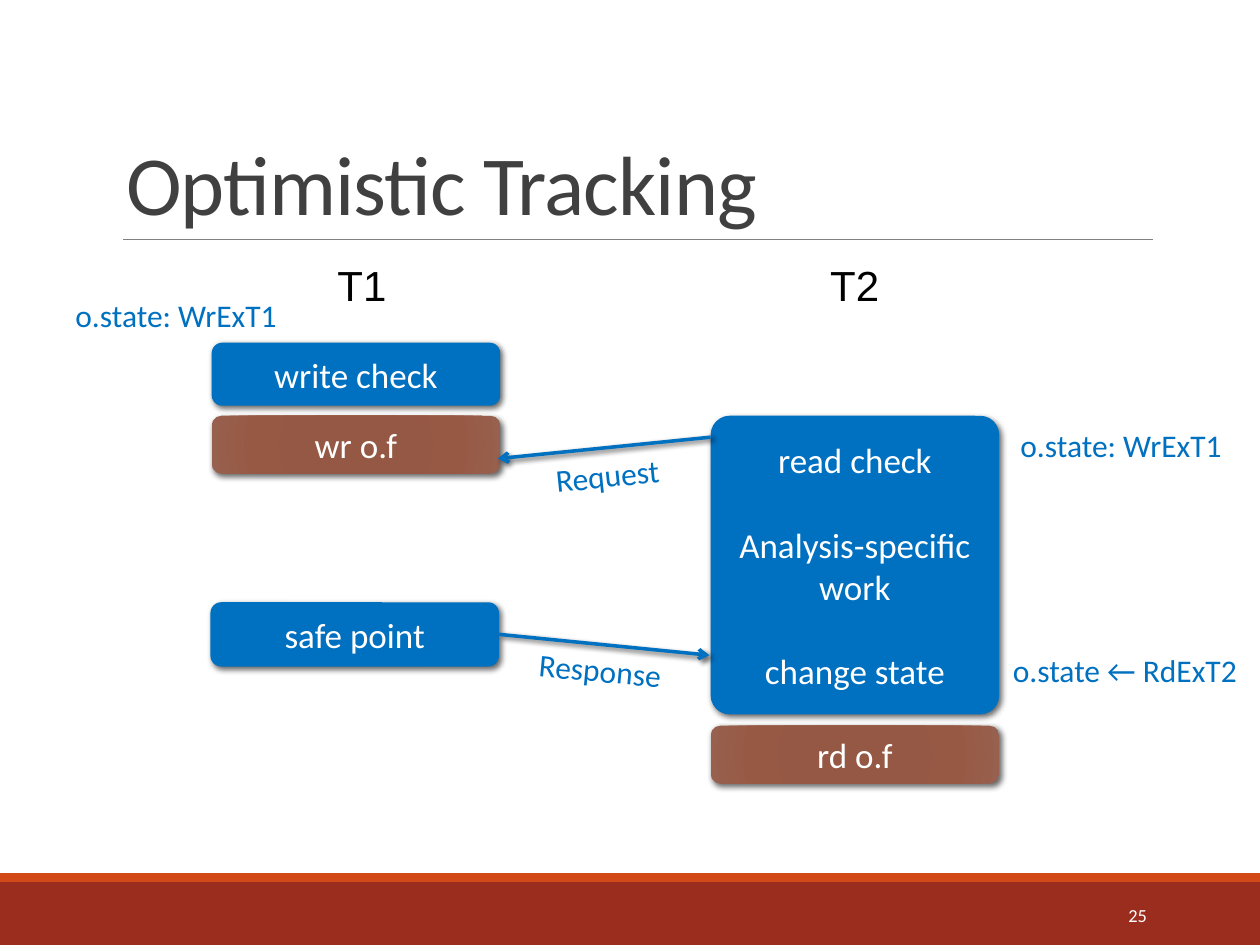
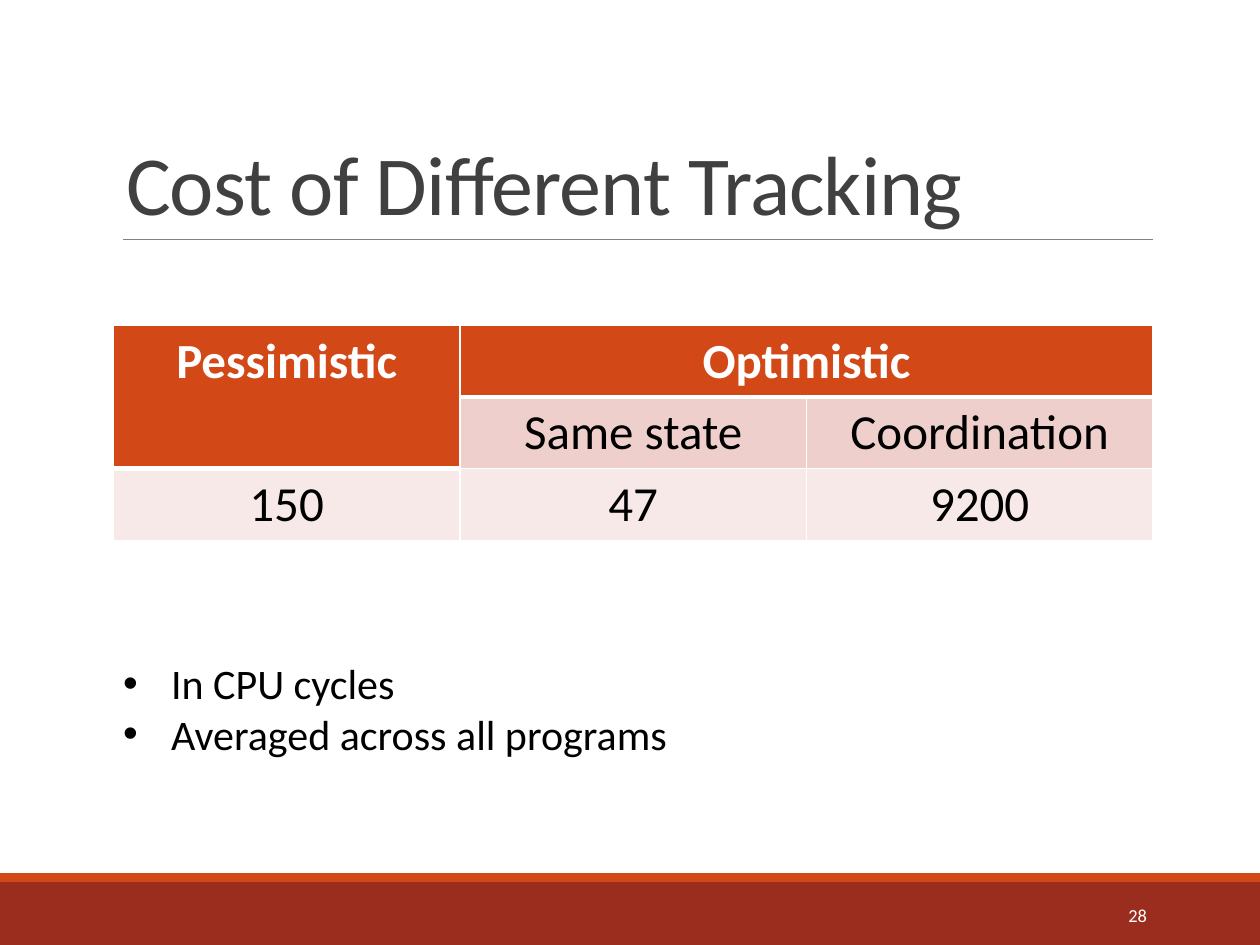
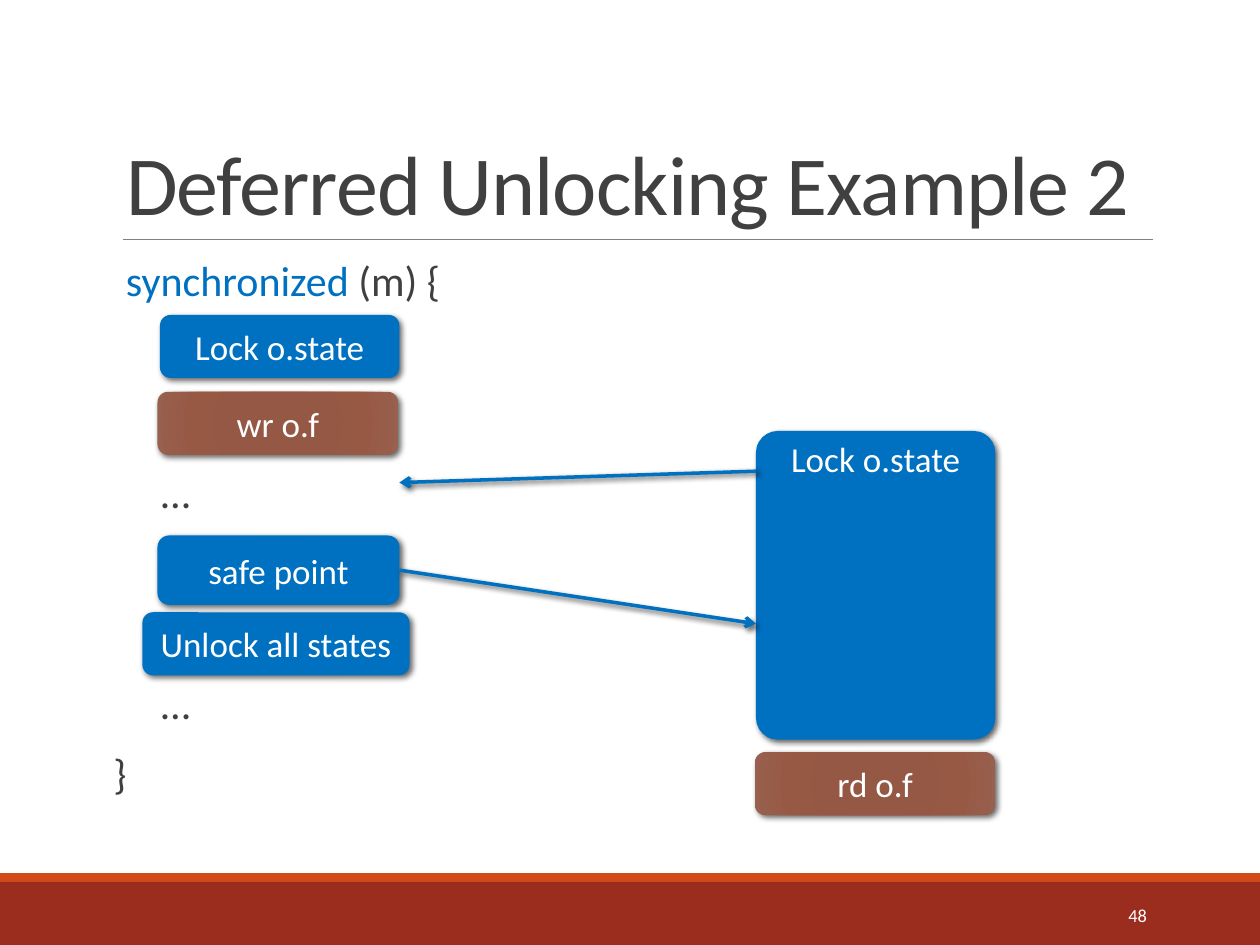
from dataclasses import dataclass
from typing import Any, Optional

import pptx
import pptx.dml.color
import pptx.enum.shapes
import pptx.enum.text
import pptx.oxml
import pptx.oxml.ns
import pptx.util

Inches = pptx.util.Inches
Pt = pptx.util.Pt
RGBColor = pptx.dml.color.RGBColor
Align = pptx.enum.text.PP_ALIGN
Anchor = pptx.enum.text.MSO_ANCHOR
ShapeKind = pptx.enum.shapes.MSO_SHAPE

WHITE = RGBColor(0xFF, 0xFF, 0xFF)
BLACK = RGBColor(0, 0, 0)
BLUE = RGBColor(0x00, 0x70, 0xC0)
DARK_GRAY = RGBColor(0x40, 0x40, 0x40)
RULE_GRAY = RGBColor(0x80, 0x80, 0x80)
FOOTER_RED = RGBColor(0x9B, 0x2D, 0x1F)
ORANGE = RGBColor(0xD3, 0x48, 0x17)
ROW_PINK = RGBColor(0xEF, 0xCF, 0xCC)
ROW_PALE = RGBColor(0xF7, 0xE9, 0xE8)
BROWN_STOPS = (
    (0, RGBColor(0x94, 0x57, 0x42)),
    (34, RGBColor(0x94, 0x58, 0x44)),
    (70, RGBColor(0x98, 0x59, 0x44)),
    (100, RGBColor(0x98, 0x60, 0x4E)),
)

FONT = "Calibri"
BOX_LINE_HEIGHT = 24.4
CODE_LINE_PITCH = 40.4
RIGHT_SIDE = 3


@dataclass(frozen=True)
class Box:
    lines: tuple[str, ...]
    left: float
    top: float
    width: float
    height: float
    brown: bool = False
    corner: Optional[float] = None
    text_at_top: bool = False


@dataclass(frozen=True)
class Label:
    text: str
    left: float
    top: float
    width: float
    height: float = 0.4
    rotation: float = 0
    size: float = 18
    color: RGBColor = BLUE
    font: str = FONT
    align: Align = Align.LEFT
    anchor: Anchor = Anchor.TOP
    wrap: bool = True


@dataclass(frozen=True)
class Arrow:
    begin: tuple[float, float]
    end: tuple[float, float]
    source: Optional[str] = None


@dataclass(frozen=True)
class CodeLine:
    runs: tuple[tuple[str, RGBColor], ...]
    indent: float
    lines_above: int = 0


def apply_format(target: Any, values: dict[str, Any]) -> None:
    for name, value in values.items():
        setattr(target, name, value)


def make_element(tag: str, attributes: str = "", content: str = "") -> Any:
    namespace = pptx.oxml.ns.nsdecls("a")
    return pptx.oxml.parse_xml(f"<a:{tag} {namespace} {attributes}>{content}</a:{tag}>")


def solid_fill(color: RGBColor) -> str:
    return f'<a:solidFill><a:srgbClr val="{color}"/></a:solidFill>'


def add_run(paragraph: Any, text: str, size: float, color: RGBColor,
            font: str = FONT, bold: bool = False) -> Any:
    run = paragraph.add_run()
    run.text = text
    apply_format(run.font, {"name": font, "size": Pt(size), "bold": bold})
    run.font.color.rgb = color
    return run


def set_shadow(shape: Any, blur: float) -> None:
    shadow = (
        f'<a:outerShdw blurRad="{Pt(blur)}" dist="{Pt(2)}" dir="2700000" '
        'algn="tl" rotWithShape="0"><a:srgbClr val="000000">'
        '<a:alpha val="60000"/></a:srgbClr></a:outerShdw>'
    )
    shape.element.spPr.append(make_element("effectLst", content=shadow))


def fill_brown(shape: Any) -> None:
    shape.fill.solid()
    stops = "".join(
        f'<a:gs pos="{position * 1000}"><a:srgbClr val="{color}"/></a:gs>'
        for position, color in BROWN_STOPS
    )
    gradient = make_element(
        "gradFill", 'rotWithShape="1"',
        f'<a:gsLst>{stops}</a:gsLst><a:path path="circle">'
        '<a:fillToRect l="100000" t="100000" r="100000" b="100000"/></a:path>',
    )
    properties = shape.element.spPr
    properties.replace(properties.find(pptx.oxml.ns.qn("a:solidFill")), gradient)


def add_band(slide: Any, top: float, height: float, color: RGBColor) -> None:
    band = slide.shapes.add_shape(
        ShapeKind.RECTANGLE, Inches(0), Inches(top), Inches(10), Inches(height))
    band.shadow.inherit = False
    band.fill.solid()
    band.fill.fore_color.rgb = color
    band.line.fill.background()


def add_line(slide: Any, begin: tuple[float, float], end: tuple[float, float],
             color: RGBColor, width: float) -> Any:
    line = slide.shapes.add_connector(
        pptx.enum.shapes.MSO_CONNECTOR.STRAIGHT,
        *(Inches(value) for value in (*begin, *end)))
    line.line.color.rgb = color
    line.line.width = Pt(width)
    return line


def add_label(slide: Any, label: Label) -> None:
    shape = slide.shapes.add_textbox(
        Inches(label.left), Inches(label.top), Inches(label.width), Inches(label.height))
    shape.rotation = label.rotation
    apply_format(shape.text_frame, {"word_wrap": label.wrap, "vertical_anchor": label.anchor})
    paragraph = shape.text_frame.paragraphs[0]
    paragraph.alignment = label.align
    add_run(paragraph, label.text, label.size, label.color, label.font)


def add_box(slide: Any, box: Box) -> Any:
    shape = slide.shapes.add_shape(
        ShapeKind.ROUNDED_RECTANGLE, Inches(box.left), Inches(box.top),
        Inches(box.width), Inches(box.height))
    if box.corner is not None:
        shape.adjustments[0] = box.corner
    if box.brown:
        fill_brown(shape)
    else:
        shape.fill.solid()
        shape.fill.fore_color.rgb = BLUE
    shape.line.fill.background()
    set_shadow(shape, 3.5)
    frame = shape.text_frame
    frame.word_wrap = True
    frame.vertical_anchor = Anchor.MIDDLE
    if box.text_at_top:
        apply_format(frame, {"vertical_anchor": Anchor.TOP, "margin_top": Inches(0)})
    for index, text in enumerate(box.lines):
        paragraph = frame.add_paragraph() if index else frame.paragraphs[0]
        apply_format(paragraph, {
            "alignment": Align.CENTER,
            "space_before": Pt(BOX_LINE_HEIGHT if index else 0),
        })
        add_run(paragraph, text, 20, WHITE)
    return shape


def add_arrow(slide: Any, arrow: Arrow, boxes: dict[str, Any]) -> None:
    connector = add_line(slide, arrow.begin, arrow.end, BLUE, 2)
    if arrow.source:
        connector.begin_connect(boxes[arrow.source], RIGHT_SIDE)
    connector.get_or_add_ln().append(make_element("tailEnd", 'type="arrow"'))
    set_shadow(connector, 3)


def add_diagram(slide: Any, boxes: tuple[Box, ...], arrows: tuple[Arrow, ...]) -> None:
    shapes = {box.lines[0]: add_box(slide, box) for box in boxes}
    for arrow in arrows:
        add_arrow(slide, arrow, shapes)


def add_titled_slide(presentation: Any, title: str, number: int) -> Any:
    slide = presentation.slides.add_slide(presentation.slide_layouts.get_by_name("Title Only"))
    add_band(slide, 7, 0.5, FOOTER_RED)
    add_band(slide, 6.93, 0.07, ORANGE)
    rule = add_line(slide, (0.98, 1.9), (9.15, 1.9), RULE_GRAY, 0.5)
    rule.element.spPr.append(make_element("effectLst"))
    placeholder = slide.shapes.title
    apply_format(placeholder, {
        "left": Inches(0.9), "top": Inches(0.31),
        "width": Inches(8.25), "height": Inches(1.59),
    })
    apply_format(placeholder.text_frame, {
        "vertical_anchor": Anchor.BOTTOM,
        "word_wrap": True,
        "auto_size": pptx.enum.text.MSO_AUTO_SIZE.NONE,
    })
    paragraph = placeholder.text_frame.paragraphs[0]
    apply_format(paragraph, {"alignment": Align.LEFT, "line_spacing": 0.85})
    run = add_run(paragraph, title, 48, DARK_GRAY)
    run._r.get_or_add_rPr().set("spc", "-50")
    add_label(slide, Label(str(number), 8.12, 7.06, 1.08, size=10.5, color=WHITE,
                           align=Align.RIGHT, anchor=Anchor.MIDDLE))
    return slide


def add_cost_table(slide: Any) -> None:
    rows = (
        ("Pessimistic", "Optimistic", ""),
        ("", "Same state", "Coordination"),
        ("150", "47", "9200"),
    )
    table = slide.shapes.add_table(
        3, 3, Inches(0.9), Inches(2.58), Inches(8.25), Inches(1.71)).table
    table.horz_banding = False
    table.cell(0, 0).merge(table.cell(1, 0))
    table.cell(0, 1).merge(table.cell(0, 2))
    for row_index, texts in enumerate(rows):
        for column_index, text in enumerate(texts):
            cell = table.cell(row_index, column_index)
            header = row_index == 0 or (row_index, column_index) == (1, 0)
            cell.fill.solid()
            cell.fill.fore_color.rgb = (
                ORANGE if header else (ROW_PINK, ROW_PALE)[row_index - 1])
            borders = {"lnL": 1, "lnR": 1, "lnB": 3 if header else 1}
            for position, (tag, width) in enumerate(borders.items()):
                border = make_element(tag, f'w="{Pt(width)}"', solid_fill(WHITE))
                cell._tc.get_or_add_tcPr().insert(position, border)
            if text:
                paragraph = cell.text_frame.paragraphs[0]
                paragraph.alignment = Align.CENTER
                add_run(paragraph, text, 28, WHITE if header else BLACK, bold=header)


def add_bullets(slide: Any, texts: tuple[str, ...]) -> None:
    shape = slide.shapes.add_textbox(Inches(0.88), Inches(5.17), Inches(6.87), Inches(0.91))
    frame = shape.text_frame
    frame.word_wrap = True
    for index, text in enumerate(texts):
        paragraph = frame.add_paragraph() if index else frame.paragraphs[0]
        properties = paragraph._p.get_or_add_pPr()
        properties.set("marL", str(Inches(0.38)))
        properties.set("indent", str(-Inches(0.38)))
        properties.append(make_element("buFont", 'typeface="Arial"'))
        properties.append(make_element("buChar", 'char="•"'))
        add_run(paragraph, text, 24, BLACK)


def add_code(slide: Any, code_lines: tuple[CodeLine, ...]) -> None:
    shape = slide.shapes.add_textbox(Inches(0.9), Inches(2.02), Inches(2.93), Inches(4.4))
    frame = shape.text_frame
    apply_format(frame, {"word_wrap": True, "margin_left": 0, "margin_right": 0})
    for index, code_line in enumerate(code_lines):
        paragraph = frame.add_paragraph() if index else frame.paragraphs[0]
        apply_format(paragraph, {
            "line_spacing": 0.9,
            "space_before": Pt(12 + CODE_LINE_PITCH * code_line.lines_above),
            "space_after": Pt(2),
        })
        paragraph._p.get_or_add_pPr().set("marL", str(Inches(code_line.indent)))
        for text, color in code_line.runs:
            add_run(paragraph, text, 24, color)


def build_optimistic_tracking(presentation: Any) -> None:
    slide = add_titled_slide(presentation, "Optimistic Tracking", 25)
    boxes = (
        Box(("safe point",), 1.67, 4.78, 2.29, 0.51),
        Box(("read check", "Analysis-specific work", "change state"),
            5.64, 3.3, 2.29, 2.37, corner=0.066),
        Box(("wr o.f",), 1.68, 3.3, 2.29, 0.46, brown=True),
        Box(("write check",), 1.68, 2.72, 2.29, 0.5),
        Box(("rd o.f",), 5.64, 5.76, 2.29, 0.46, brown=True),
    )
    arrows = (
        Arrow((3.96, 5.04), (5.63, 5.2), "safe point"),
        Arrow((5.64, 3.47), (3.95, 3.64)),
    )
    add_diagram(slide, boxes, arrows)
    for thread, left in (("T1", 2.58), ("T2", 6.49)):
        add_label(slide, Label(thread, left, 2.01, 0.59, 0.5, size=24,
                               color=BLACK, font="Arial", wrap=False))
    for label in (
        Label("o.state: WrExT1", 0.5, 2.3, 1.83),
        Label("o.state ← RdExT2", 7.94, 5.12, 2.07),
        Label("o.state: WrExT1", 8, 3.33, 1.85),
        Label("Request", 4.31, 3.56, 1.25, rotation=354.1),
        Label("Response", 4.18, 5.12, 1.25, rotation=5.4),
    ):
        add_label(slide, label)


def build_tracking_cost(presentation: Any) -> None:
    slide = add_titled_slide(presentation, "Cost of Different Tracking", 28)
    add_cost_table(slide)
    add_bullets(slide, ("In CPU cycles", "Averaged across all programs"))


def build_deferred_unlocking(presentation: Any) -> None:
    slide = add_titled_slide(presentation, "Deferred Unlocking Example 2", 48)
    ellipsis = CodeLine((("…", DARK_GRAY),), 0.38, lines_above=2)
    add_code(slide, (
        CodeLine((("synchronized", BLUE), (" (m) {", DARK_GRAY)), 0.1),
        ellipsis,
        ellipsis,
        CodeLine((("}", DARK_GRAY),), 0),
    ))
    boxes = (
        Box(("Unlock all states",), 1.13, 4.86, 2.12, 0.5),
        Box(("Lock o.state",), 1.27, 2.5, 1.9, 0.5),
        Box(("wr o.f",), 1.25, 3.11, 1.91, 0.5, brown=True),
        Box(("Lock o.state",), 6, 3.42, 1.9, 2.45, corner=0.091, text_at_top=True),
        Box(("rd o.f",), 5.99, 5.97, 1.91, 0.5, brown=True),
        Box(("safe point",), 1.25, 4.25, 1.92, 0.55),
    )
    arrows = (
        Arrow((6, 3.74), (3.17, 3.83)),
        Arrow((3.17, 4.52), (6, 4.95), "safe point"),
    )
    add_diagram(slide, boxes, arrows)


def main() -> None:
    presentation = pptx.Presentation()
    presentation.slide_width = Inches(10)
    presentation.slide_height = Inches(7.5)
    build_optimistic_tracking(presentation)
    build_tracking_cost(presentation)
    build_deferred_unlocking(presentation)
    presentation.save("out.pptx")


if __name__ == "__main__":
    main()
